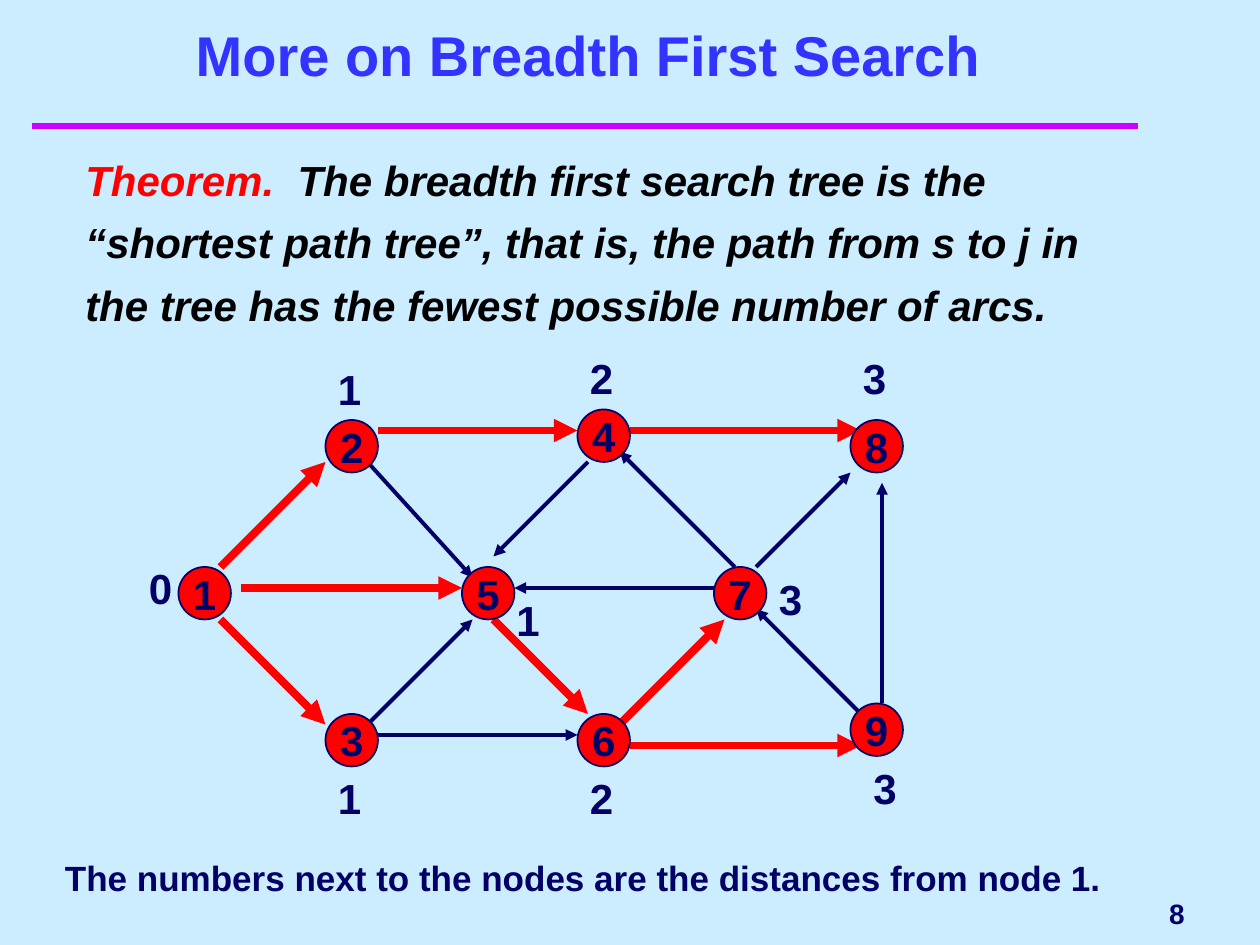
from lxml import etree
from pptx import Presentation
from pptx import util as u
from pptx.dml.color import RGBColor
from pptx.enum import shapes, text
from pptx.oxml.ns import qn

COLOURS = {"paper": "CCECFF", "rule": "CC00FF", "title": "3333FF",
           "ink": "000066", "tree": "FF0000", "body": "000000"}
STEP = 2.54 / 12
NODE_SIZE = 5
LABEL_SIZE = (4, 6)

NODES = {"1": (4, 21), "2": (18, 7), "3": (18, 35), "4": (42, 6), "5": (31, 21),
         "6": (42, 35), "7": (55, 21), "8": (68, 7), "9": (68, 34)}
DISTANCES = [("0", 0, 20), ("1", 18, 1), ("1", 18, 40), ("2", 42, 0), ("1", 35, 23),
             ("2", 42, 40), ("3", 60, 21), ("3", 68, 0), ("3", 69, 39)]
PLAIN_ARCS = [(59, 21, 68, 12), (57, 21, 46, 10), (43, 11, 34, 20),
              (22, 36, 32, 26), (23, 37, 42, 37), (69, 35, 59, 25),
              (71, 34, 71, 13), (55, 23, 36, 23), (22, 11, 32, 22)]
TREE_ARCS = [(8, 21, 18, 11), (10, 23, 31, 23), (8, 26, 18, 36), (23, 8, 42, 8),
             (34, 26, 43, 35), (47, 8, 69, 8), (46, 36, 56, 26), (47, 38, 69, 38)]


def colour(name):
    return RGBColor.from_string(COLOURS[name])


def set_all(target, **values):
    for name, value in values.items():
        setattr(target, name, value)


def write(para, words, size, shade="ink", italic=False):
    span = para.add_run()
    span.text = words
    set_all(span.font, name="Arial", size=u.Pt(size), bold=True, italic=italic)
    span.font.color.rgb = colour(shade)


def add_text(page, box, words, size, wrap=True, anchor=text.MSO_ANCHOR.TOP,
             align=text.PP_ALIGN.LEFT):
    holder = page.shapes.add_textbox(*map(u.Cm, box))
    set_all(holder.text_frame, word_wrap=wrap, vertical_anchor=anchor)
    para = holder.text_frame.paragraphs[0]
    para.alignment = align
    if words:
        write(para, words, size)
    return holder


def add_line(page, ends, shade, width, arrow=False):
    line = page.shapes.add_connector(shapes.MSO_CONNECTOR.STRAIGHT, *map(u.Cm, ends))
    line.line.color.rgb = colour(shade)
    line.line.width = u.Pt(width)
    if arrow:
        etree.SubElement(line.line._get_or_add_ln(), qn("a:tailEnd"), type="triangle")
    etree.SubElement(line._element.spPr, qn("a:effectLst"))


def heading(page, box):
    left, top, width, height = box
    add_line(page, (left - 0.42, top + 2.11, left + 21.88, top + 2.11), "rule", 4)
    title = page.shapes.title
    set_all(title, left=u.Cm(left), top=u.Cm(top), width=u.Cm(width), height=u.Cm(height))
    set_all(title.text_frame, word_wrap=True, vertical_anchor=text.MSO_ANCHOR.BOTTOM,
            auto_size=text.MSO_AUTO_SIZE.NONE)
    para = title.text_frame.paragraphs[0]
    para.alignment = text.PP_ALIGN.CENTER
    write(para, "More on Breadth First Search", 32, "title")


def theorem(page, box):
    para = add_text(page, box, "", 24).text_frame.paragraphs[0]
    set_all(para, line_spacing=u.Pt(35.7), space_before=u.Pt(6))
    indent = u.Cm(0.95)
    set_all(para._p.get_or_add_pPr(), marL=indent, indent=-indent)
    write(para, "Theorem. ", 24, "tree", True)
    write(para, " The breadth first search tree is the “shortest path tree”, that is, "
          "the path from s to j in the tree has the fewest possible number of arcs.",
          24, "body", True)


def add_node(page, box, number):
    node = page.shapes.add_shape(shapes.MSO_SHAPE.OVAL, *map(u.Cm, box))
    node.shadow.inherit = False
    node.fill.solid()
    node.fill.fore_color.rgb = colour("tree")
    node.line.color.rgb = colour("ink")
    node.line.width = u.Pt(1)
    set_all(node.text_frame, word_wrap=False, vertical_anchor=text.MSO_ANCHOR.MIDDLE)
    para = node.text_frame.paragraphs[0]
    para.alignment = text.PP_ALIGN.CENTER
    write(para, number, 24)


def graph(page, left, top):
    def place(x, y):
        return left + x * STEP, top + y * STEP

    for number, x, y in DISTANCES:
        size = (side * STEP for side in LABEL_SIZE)
        label = add_text(page, (*place(x, y), *size), number, 24)
        label.fill.solid()
        label.fill.fore_color.rgb = colour("paper")
    for arcs, shade, width in ((PLAIN_ARCS, "ink", 2.25), (TREE_ARCS, "tree", 4.5)):
        for arc in arcs:
            add_line(page, (*place(*arc[:2]), *place(*arc[2:])), shade, width, True)
    for number, spot in NODES.items():
        add_node(page, (*place(*spot), NODE_SIZE * STEP, NODE_SIZE * STEP), number)


def footer(page, left, top):
    add_text(page, (left, top, 21.8, 1.12), 
             "The numbers next to the nodes are the distances from node 1.", 20)
    add_text(page, (left + 18.19, top + 0.63, 4.88, 1.27), "8", 16, False,
             text.MSO_ANCHOR.MIDDLE, text.PP_ALIGN.RIGHT)


def main():
    deck = Presentation()
    set_all(deck, slide_width=u.Cm(25.4), slide_height=u.Cm(19.05))
    page = deck.slides.add_slide(deck.slide_layouts[5])
    page.background.fill.solid()
    page.background.fill.fore_color.rgb = colour("paper")
    heading(page, (1.06, 0.43, 21.6, 1.47))
    theorem(page, (1.47, 2.74, 21.46, 14.17))
    graph(page, 13 * STEP, 33 * STEP)
    footer(page, 1.06, 17.15)
    deck.save("out.pptx")


if __name__ == "__main__":
    main()
